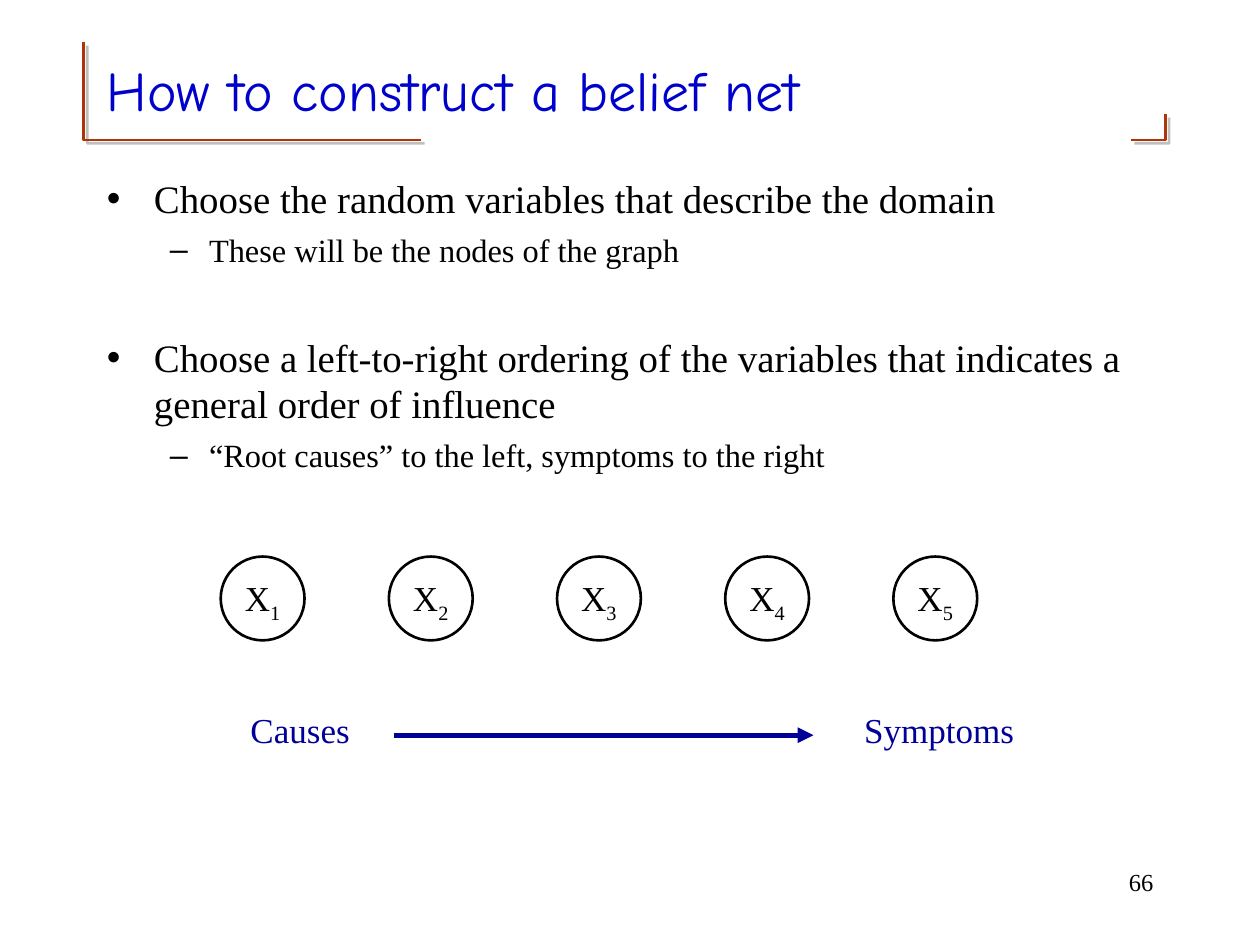
from lxml.etree import SubElement
from pptx import Presentation
from pptx.dml.color import RGBColor
from pptx.enum.shapes import MSO_CONNECTOR, MSO_SHAPE
from pptx.enum.text import MSO_ANCHOR, MSO_AUTO_SIZE, PP_ALIGN
from pptx.oxml.ns import qn
from pptx.util import Cm, Pt

BLACK = RGBColor(0x00, 0x00, 0x00)
TITLE_BLUE = RGBColor(0x00, 0x00, 0xCC)
NAVY = RGBColor(0x00, 0x00, 0x99)
RUST = RGBColor(0xAF, 0x34, 0x08)

BULLETS = [
    (0, "Choose the random variables that describe the domain", 0),
    (1, "These will be the nodes of the graph", 5),
    (0, "Choose a left-to-right ordering of the variables that indicates "
        "a general order of influence", 37),
    (1, "“Root causes” to the left, symptoms to the right", 5),
]
LEVELS = [("•", 22.2, 0.95, -0.95), ("–", 18.5, 2.06, -0.79)]


class SlideBuilder:
    title_font = "Comic Neue"
    body_font = "Times New Roman"

    def __init__(self, page):
        self.page = page
        self.shapes = page.shapes

    def style(self, para, size, color=BLACK, name=body_font):
        para.font.name = name
        para.font.size = Pt(size)
        para.font.color.rgb = color

    def place(self, shape, left, top, width, height):
        shape.left, shape.top = Cm(left), Cm(top)
        shape.width, shape.height = Cm(width), Cm(height)

    def title(self, text):
        title = self.shapes.title
        self.place(title, 1.9, 0.64, 21.6, 2.33)
        frame = title.text_frame
        frame.text = text
        frame.auto_size = MSO_AUTO_SIZE.NONE
        frame.vertical_anchor = MSO_ANCHOR.MIDDLE
        para = frame.paragraphs[0]
        para.alignment = PP_ALIGN.LEFT
        self.style(para, 32, TITLE_BLUE, self.title_font)

    def bullets(self, items):
        body = self.page.placeholders[1]
        self.place(body, 1.9, 3.39, 21.6, 6.56)
        frame = body.text_frame
        frame.auto_size = MSO_AUTO_SIZE.NONE
        frame.text = "\n".join(text for _, text, _ in items)
        for para, (level, _, gap) in zip(frame.paragraphs, items):
            mark, size, margin, indent = LEVELS[level]
            para.level = level
            para.space_before = Pt(gap)
            properties = para._p.get_or_add_pPr()
            properties.set("marL", str(Cm(margin)))
            properties.set("indent", str(Cm(indent)))
            SubElement(properties, qn("a:buChar"), char=mark)
            self.style(para, size)

    def corner(self, start, *points):
        builder = self.shapes.build_freeform(Cm(start[0]), Cm(start[1]))
        builder.add_line_segments([(Cm(x), Cm(y)) for x, y in points], close=False)
        outline = builder.convert_to_shape()
        outline.fill.background()
        outline.line.color.rgb = RUST
        outline.line.width = Pt(1.5)
        outline.shadow.inherit = False
        effects = outline._element.spPr.find(qn("a:effectLst"))
        shadow = SubElement(effects, qn("a:outerShdw"), dist=str(Pt(2.8)), dir="2700000")
        gray = SubElement(shadow, qn("a:srgbClr"), val="808080")
        SubElement(gray, qn("a:alpha"), val="50000")

    def node(self, left, top, size, number):
        circle = self.shapes.add_shape(
            MSO_SHAPE.OVAL, Cm(left), Cm(top), Cm(size), Cm(size))
        circle.shadow.inherit = False
        circle.fill.background()
        circle.line.color.rgb = BLACK
        circle.line.width = Pt(1.5)
        frame = circle.text_frame
        frame.word_wrap = False
        frame.vertical_anchor = MSO_ANCHOR.MIDDLE
        para = frame.paragraphs[0]
        para.alignment = PP_ALIGN.CENTER
        para.line_spacing = 0.9
        para.add_run().text = "X"
        subscript = para.add_run()
        subscript.text = str(number)
        subscript._r.get_or_add_rPr().set("baseline", "-25000")
        self.style(para, 20)

    def label(self, text, left, top, width, height, size=20, color=NAVY,
              align=PP_ALIGN.LEFT):
        box = self.shapes.add_textbox(Cm(left), Cm(top), Cm(width), Cm(height))
        frame = box.text_frame
        frame.word_wrap = True
        frame.text = text
        para = frame.paragraphs[0]
        para.alignment = align
        self.style(para, size, color)

    def arrow(self, left, right, y):
        line = self.shapes.add_connector(
            MSO_CONNECTOR.STRAIGHT, Cm(left), Cm(y), Cm(right), Cm(y))
        line.line.color.rgb = NAVY
        line.line.width = Pt(3)
        SubElement(line.line._get_or_add_ln(), qn("a:tailEnd"), type="triangle")
        SubElement(line._element.spPr, qn("a:effectLst"))


def main():
    deck = Presentation()
    deck.slide_width, deck.slide_height = Cm(25.4), Cm(19.05)
    slide = SlideBuilder(deck.slides.add_slide(deck.slide_layouts[1]))
    slide.corner((1.69, 0.85), (1.69, 2.82), (8.49, 2.82))
    slide.corner((23.5, 2.3), (23.5, 2.82), (22.8, 2.82))
    slide.label("66", 18.2, 17.35, 5.3, 1.27, 14, BLACK, PP_ALIGN.RIGHT)
    slide.title("How to construct a belief net")
    slide.bullets(BULLETS)
    for index in range(5):
        slide.node(4.45 + 3.39 * index, 11.22, 1.69, index + 1)
    slide.label("Causes", 4.8, 14.15, 2.6, 1.12)
    slide.label("Symptoms", 17.17, 14.15, 3.6, 1.12)
    slide.arrow(7.94, 16.4, 14.82)
    deck.save("out.pptx")


if __name__ == "__main__":
    main()
